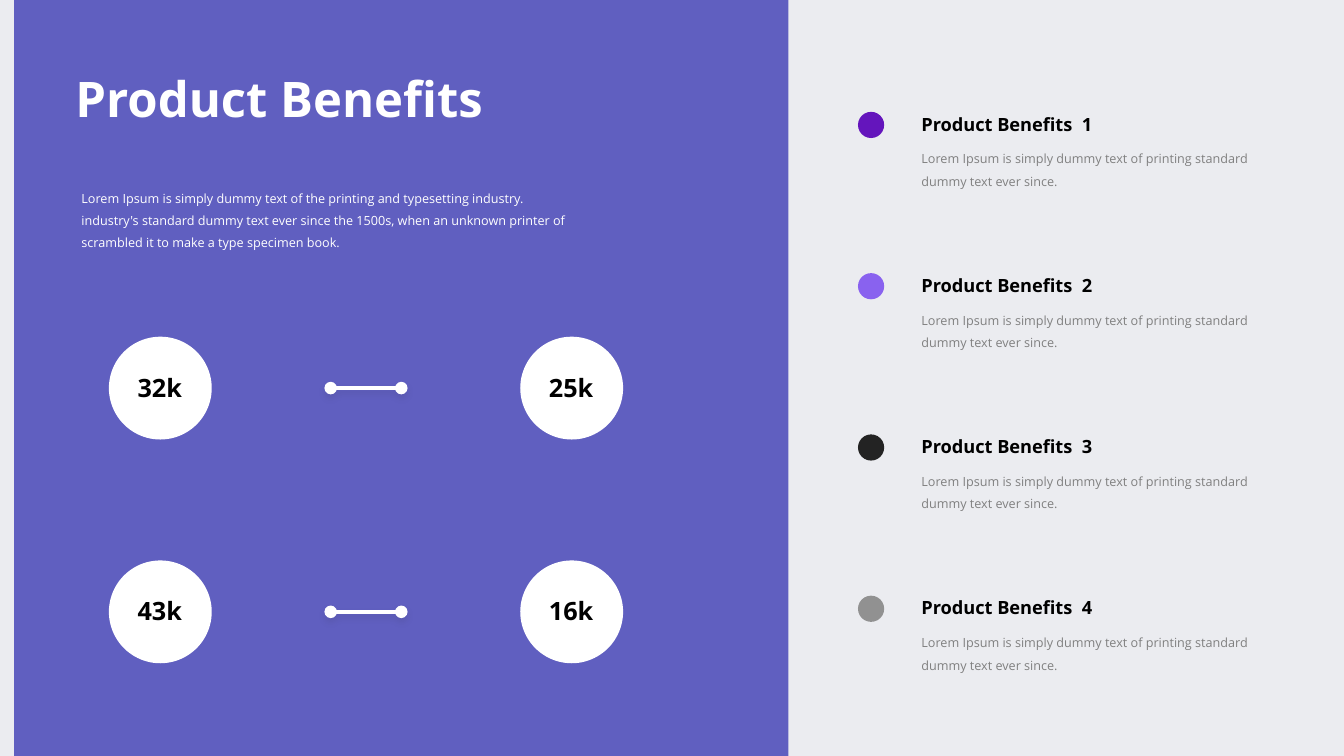
from dataclasses import dataclass

from lxml import etree
from pptx import Presentation
from pptx import util as u
from pptx.dml.color import RGBColor
from pptx.enum import shapes, text
from pptx.oxml import parse_xml
from pptx.oxml.ns import nsdecls, qn

PX = 9144  # EMU per px, 100 px to the inch
FONT = "Open Sans"
WHITE, BLACK, GREY = "FFFFFF", "000000", "808080"
PANEL, BACKDROP = "605FC0", "EBECF0"

BENEFIT_TOP, BENEFIT_PITCH = 107, 160
METRIC_TOP, METRIC_PITCH = 334, 222
METRIC_SIZE, LABEL_WIDTH, LABEL_HEIGHT = 102, 65, 40
BENEFIT_TEXT = "Lorem Ipsum is simply dummy text of printing standard dummy text ever since."
INTRO = [
    "Lorem Ipsum is simply dummy text of the printing and typesetting industry.",
    "industry's standard dummy text ever since the 1500s, when an unknown printer of "
    "scrambled it to make a type specimen book.",
]


@dataclass
class Style:
    size: int
    color: str
    bold: bool = False
    leading: int | None = None
    centered: bool = False
    wrap: bool = True


@dataclass
class Benefit:
    heading: str
    color: str


@dataclass
class MetricPair:
    left: str
    right: str


TITLE = Style(35, WHITE, bold=True, wrap=False)
INTRO_STYLE = Style(9, WHITE, leading=16)
HEADING = Style(13, BLACK, bold=True, wrap=False)
BODY = Style(9, GREY, leading=16)
METRIC = Style(18, BLACK, bold=True, centered=True, wrap=False)

BENEFITS = [
    Benefit("Product Benefits  1", "6415BC"),
    Benefit("Product Benefits  2", "8962EF"),
    Benefit("Product Benefits  3", "232323"),
    Benefit("Product Benefits  4", "919191"),
]
METRICS = [MetricPair("32k", "25k"), MetricPair("43k", "16k")]


def px(*lengths: int) -> list[u.Emu]:
    return [u.Emu(length * PX) for length in lengths]


def rgb(color: str) -> RGBColor:
    return RGBColor.from_string(color)


def add_filled(slide, kind, left: int, top: int, width: int, height: int, color: str) -> None:
    shape = slide.shapes.add_shape(kind, *px(left, top, width, height))
    shape.shadow.inherit = False
    shape.fill.solid()
    shape.fill.fore_color.rgb = rgb(color)
    shape.line.fill.background()


def add_text(slide, paragraphs: list[str], left: int, top: int, width: int, height: int,
             style: Style) -> None:
    frame = slide.shapes.add_textbox(*px(left, top, width, height)).text_frame
    frame.word_wrap = style.wrap
    frame.auto_size = text.MSO_AUTO_SIZE.SHAPE_TO_FIT_TEXT
    frame.text = "\n".join(paragraphs)
    for paragraph in frame.paragraphs:
        paragraph.font.name = FONT
        paragraph.font.size = u.Pt(style.size)
        paragraph.font.bold = style.bold
        paragraph.font.color.rgb = rgb(style.color)
        if style.leading:
            paragraph.line_spacing = u.Pt(style.leading)
        if style.centered:
            paragraph.alignment = text.PP_ALIGN.CENTER


def add_link(slide, left: int, right: int, y: int) -> None:
    link = slide.shapes.add_connector(shapes.MSO_CONNECTOR.STRAIGHT, *px(left, y, right, y))
    link.line.color.rgb = rgb(WHITE)
    link.line.width = u.Pt(3)
    # Round ends
    line = link.line._get_or_add_ln()
    for end in ("a:headEnd", "a:tailEnd"):
        etree.SubElement(line, qn(end), type="oval")
    # Soft shadow straight below
    link._element.spPr.append(parse_xml(
        f'<a:effectLst {nsdecls("a")}>'
        f'<a:outerShdw blurRad="{u.Pt(5)}" dist="{u.Pt(3)}" dir="5400000" rotWithShape="0">'
        '<a:srgbClr val="232323"><a:alpha val="10000"/></a:srgbClr>'
        '</a:outerShdw></a:effectLst>'))


def add_metric(slide, label: str, left: int, top: int) -> None:
    add_filled(slide, shapes.MSO_SHAPE.OVAL, left, top, METRIC_SIZE, METRIC_SIZE, WHITE)
    inset = (METRIC_SIZE - LABEL_WIDTH) // 2
    add_text(slide, [label], left + inset, top + 30, LABEL_WIDTH, LABEL_HEIGHT, METRIC)


def add_benefit(slide, benefit: Benefit, top: int) -> None:
    add_filled(slide, shapes.MSO_SHAPE.OVAL, 851, top + 4, 26, 26, benefit.color)
    add_text(slide, [benefit.heading], 904, top, 191, 32, HEADING)
    add_text(slide, [BENEFIT_TEXT], 904, top + 31, 351, 53, BODY)


def main() -> None:
    deck = Presentation()
    deck.slide_width, deck.slide_height = u.Inches(13.33), u.Inches(7.5)
    slide = deck.slides.add_slide(deck.slide_layouts[6])
    slide.background.fill.solid()
    slide.background.fill.fore_color.rgb = rgb(BACKDROP)

    # Panel with title and introduction
    add_filled(slide, shapes.MSO_SHAPE.RECTANGLE, 14, 0, 768, 750, PANEL)
    add_text(slide, ["Product Benefits"], 65, 63, 440, 69, TITLE)
    add_text(slide, INTRO, 71, 177, 510, 77, INTRO_STYLE)

    # Linked pairs of metrics
    for row, pair in enumerate(METRICS):
        top = METRIC_TOP + row * METRIC_PITCH
        add_link(slide, 328, 398, top + METRIC_SIZE // 2)
        add_metric(slide, pair.left, 108, top)
        add_metric(slide, pair.right, 516, top)

    # List of benefits
    for row, benefit in enumerate(BENEFITS):
        add_benefit(slide, benefit, BENEFIT_TOP + row * BENEFIT_PITCH)

    deck.save("out.pptx")


if __name__ == "__main__":
    main()
